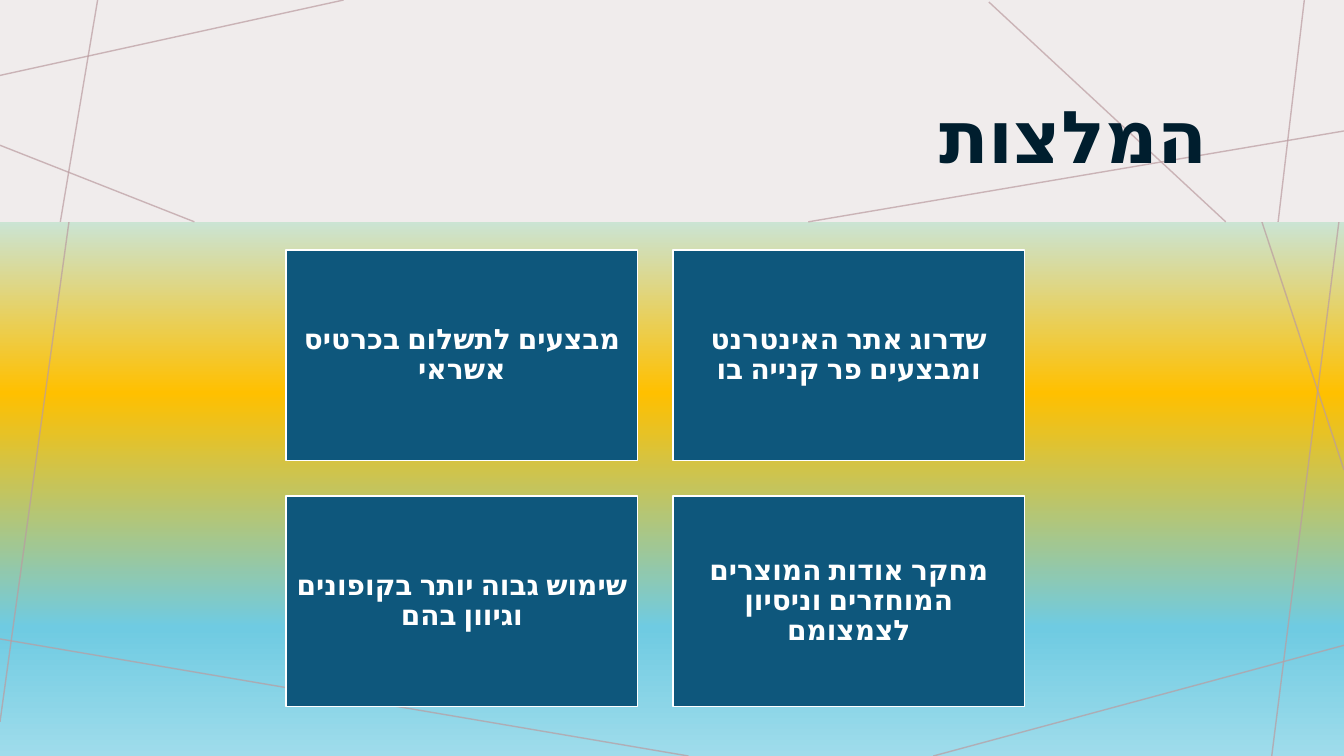
"""Build the Hebrew recommendations slide: a title band above a two by two grid of cards."""
from dataclasses import dataclass

from lxml.etree import SubElement
from pptx import Presentation
from pptx.dml.color import RGBColor
from pptx.enum.lang import MSO_LANGUAGE_ID
from pptx.enum.shapes import MSO_CONNECTOR, MSO_SHAPE
from pptx.enum.text import MSO_ANCHOR, PP_ALIGN
from pptx.oxml.ns import qn
from pptx.util import Cm, Pt

TITLE = "המלצות"
RECOMMENDATIONS = [
    ["מבצעים לתשלום בכרטיס אשראי", "שדרוג אתר האינטרנט ומבצעים פר קנייה בו"],
    ["שימוש גבוה יותר בקופונים וגיוון בהם", "מחקר אודות המוצרים המוחזרים וניסיון לצמצומם"],
]

SLIDE_WIDTH, SLIDE_HEIGHT, BAND_HEIGHT = 33.87, 19.05, 5.59
TITLE_AREA = (3.18, 1.47, 27.51, 3.84)
CARD_LEFT, CARD_TOP = 7.21, 6.3
CARD_WIDTH, CARD_HEIGHT, CARD_GAP = 8.86, 5.31, 0.89

BACKGROUND_LINES = [
    (2.51, 0, 0, 18.19),
    (17.35, SLIDE_HEIGHT, 0, 16.1),
    (SLIDE_WIDTH, 16.26, 23.52, SLIDE_HEIGHT),
    (SLIDE_WIDTH, 4.57, 32.05, SLIDE_HEIGHT),
    (SLIDE_WIDTH, 11.84, 29.95, 0),
]
BAND_LINES = [
    (8.66, 0, 0, 1.9),
    (2.46, 0, 1.52, BAND_HEIGHT),
    (4.9, BAND_HEIGHT, 0, 3.66),
    (SLIDE_WIDTH, 3.3, 20.37, BAND_HEIGHT),
    (30.89, BAND_HEIGHT, 24.92, 0.05),
    (32.87, 0, 32.21, BAND_HEIGHT),
]


@dataclass(frozen=True)
class Theme:
    font: str = "Karla"
    title_size: int = 52
    card_size: int = 20
    title: str = "001E2E"
    band: str = "F0ECEC"
    card: str = "0E577C"
    white: str = "FFFFFF"
    line: str = "BA9CA0"
    line_opacity: int = 70
    gradient: tuple = ((0, "EFF9FC"), (26, "C3E9F3"), (52, "FFC000"), (83, "6FCBE2"), (100, "9FDCEB"))


THEME = Theme()


def color(value):
    return RGBColor.from_string(value)


def paint_background(slide):
    fill = slide.background.fill
    fill.gradient()
    fill.gradient_angle = 270
    stops = slide.element.xpath(".//a:gsLst")[0]
    for stop in list(stops):
        stops.remove(stop)
    for percent, value in THEME.gradient:
        stop = SubElement(stops, qn("a:gs"), pos=str(percent * 1000))
        SubElement(stop, qn("a:srgbClr"), val=value)


def add_lines(slide, lines):
    for ends in lines:
        connector = slide.shapes.add_connector(MSO_CONNECTOR.STRAIGHT, *map(Cm, ends))
        connector.line.color.rgb = color(THEME.line)
        connector.line.width = Pt(1)
        properties = connector.element.spPr
        line_color = properties.xpath("./a:ln/a:solidFill/a:srgbClr")[0]
        SubElement(line_color, qn("a:alpha"), val=str(THEME.line_opacity * 1000))
        SubElement(properties, qn("a:effectLst"))


def add_rectangle(slide, area, fill, outline=None):
    box = slide.shapes.add_shape(MSO_SHAPE.RECTANGLE, *map(Cm, area))
    box.shadow.inherit = False
    box.fill.solid()
    box.fill.fore_color.rgb = color(fill)
    if outline:
        box.line.color.rgb = color(outline)
        box.line.width = Pt(1)
    else:
        box.line.fill.background()
    return box


def write_text(box, text, size, value, alignment):
    frame = box.text_frame
    frame.word_wrap = True
    frame.vertical_anchor = MSO_ANCHOR.MIDDLE
    para = frame.paragraphs[0]
    para.alignment = alignment
    para._p.get_or_add_pPr().set("rtl", "1")
    span = para.add_run()
    span.text = text
    span.font.name = THEME.font
    span.font.size = Pt(size)
    span.font.bold = True
    span.font.color.rgb = color(value)
    span.font.language_id = MSO_LANGUAGE_ID.HEBREW
    SubElement(span._r.get_or_add_rPr(), qn("a:cs"), typeface=THEME.font)
    return para


def add_card(slide, row, column, text):
    left = CARD_LEFT + column * (CARD_WIDTH + CARD_GAP)
    top = CARD_TOP + row * (CARD_HEIGHT + CARD_GAP)
    box = add_rectangle(slide, (left, top, CARD_WIDTH, CARD_HEIGHT), THEME.card, THEME.white)
    frame = box.text_frame
    frame.margin_left = frame.margin_right = frame.margin_top = frame.margin_bottom = Cm(0.2)
    para = write_text(box, text, THEME.card_size, THEME.white, PP_ALIGN.CENTER)
    para.line_spacing = 0.9


deck = Presentation()
deck.slide_width, deck.slide_height = Cm(SLIDE_WIDTH), Cm(SLIDE_HEIGHT)
page = deck.slides.add_slide(deck.slide_layouts[6])

paint_background(page)
add_lines(page, BACKGROUND_LINES)
add_rectangle(page, (0, 0, SLIDE_WIDTH, BAND_HEIGHT), THEME.band)
add_lines(page, BAND_LINES)

title_box = page.shapes.add_textbox(*map(Cm, TITLE_AREA))
write_text(title_box, TITLE, THEME.title_size, THEME.title, PP_ALIGN.RIGHT)

for row, texts in enumerate(RECOMMENDATIONS):
    for column, text in enumerate(texts):
        add_card(page, row, column, text)

deck.save("out.pptx")
